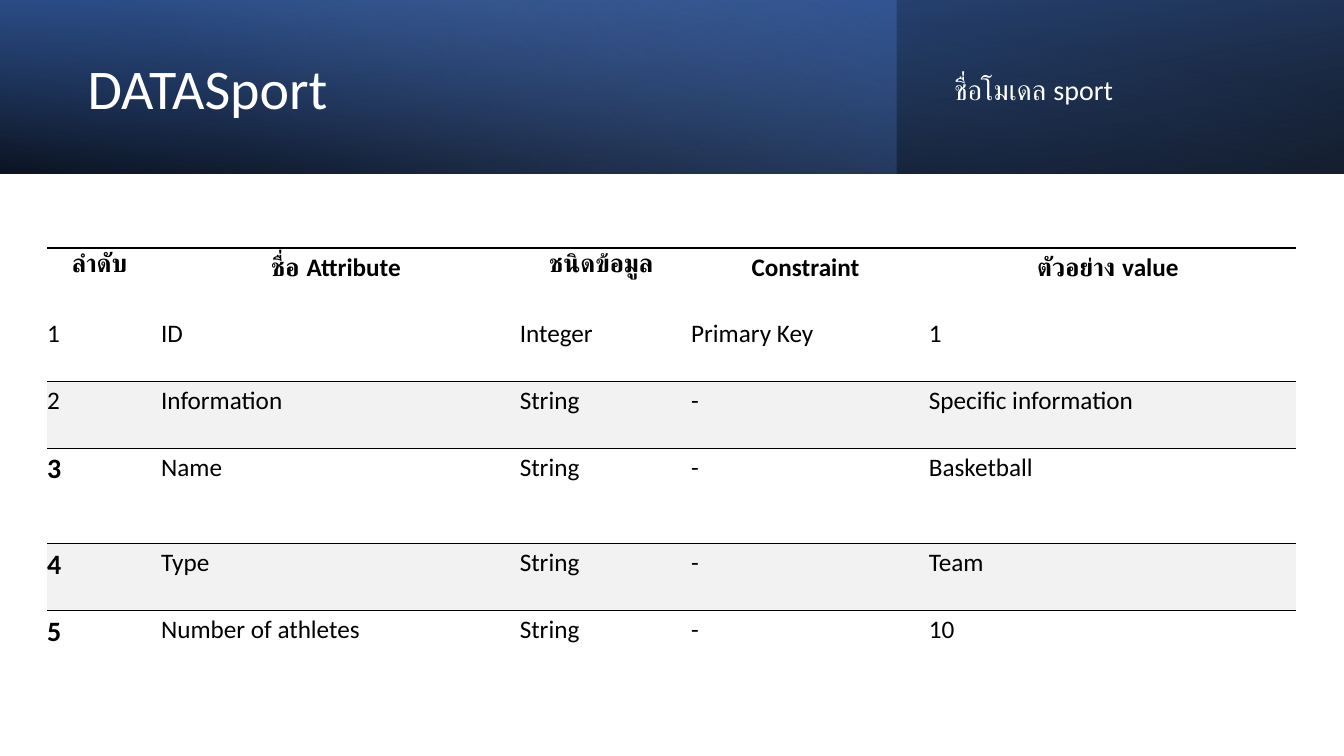
from lxml import etree
from pptx import Presentation
from pptx import util as u
from pptx.dml.color import RGBColor
from pptx.enum import shapes, text
from pptx.oxml.ns import qn

COLORS = {"black": "000000", "white": "FFFFFF", "navy": "2F5597",
          "blue": "4472C4", "pale": "8FAADC", "stripe": "F2F2F2"}
FONT = "Calibri"
WIDTH, HEIGHT = 33.87, 19.05
BAND_HEIGHT = 4.37
NO_STYLE = "{2D5ABB26-0587-4C30-8999-92F81FD0307C}"

# width, rotation, mirrored, angle, stops of (position %, colour, opacity %)
BANDS = [
    (WIDTH, 180, True, 100, [(0, "black", 96), (100, "navy", 100)]),
    (22.58, 0, False, 140, [(0, "blue", 41), (74, "pale", 0)]),
    (WIDTH, 0, True, 260, [(0, "black", 63), (78, "blue", 15)]),
]
# text, left, top, width, height, size, space before
HEADINGS = [
    ("DATASport", 1.96, 0.69, 19.61, 3.23, 40, 0),
    ("ชื่อโมเดล sport", 23.8, 1.09, 8.99, 2.44, 20, 10),
]
ROWS = [
    ("ลำดับ", "ชื่อ Attribute", "ชนิดข้อมูล", "Constraint", "ตัวอย่าง value"),
    ("1", "ID", "Integer", "Primary Key", "1"),
    ("2", "Information", "String", "-", "Specific information"),
    ("3", "Name", "String", "-", "Basketball"),
    ("4", "Type", "String", "-", "Team"),
    ("5", "Number of athletes", "String", "-", "10"),
]
COLUMN_WIDTHS = [2.87, 9.04, 4.32, 5.99, 9.25]
ROW_HEIGHTS = [1.68, 1.68, 1.68, 2.41, 1.68, 1.68]
TABLE_LEFT, TABLE_TOP = 1.19, 6.25
STRIPED_ROWS = (2, 4)
LARGE_NUMBER_ROWS = (3, 4, 5)


def add_color(parent, name, opacity=100):
    color = etree.SubElement(parent, qn("a:srgbClr"), val=COLORS[name])
    if opacity < 100:
        etree.SubElement(color, qn("a:alpha"), val=str(opacity * 1000))


def add_band(page, width, rotation, mirrored, angle, stops):
    band = page.shapes.add_shape(shapes.MSO_SHAPE.RECTANGLE, 0, 0,
                                 u.Cm(width), u.Cm(BAND_HEIGHT))
    band.shadow.inherit = False
    band.line.fill.background()
    band.rotation = rotation
    if mirrored:
        band._element.spPr.find(qn("a:xfrm")).set("flipH", "1")
    gradient = etree.Element(qn("a:gradFill"), rotWithShape="1")
    stop_list = etree.SubElement(gradient, qn("a:gsLst"))
    for position, name, opacity in stops:
        stop = etree.SubElement(stop_list, qn("a:gs"), pos=str(position * 1000))
        add_color(stop, name, opacity)
    etree.SubElement(gradient, qn("a:lin"), ang=str(angle * 60000), scaled="0")
    band._element.spPr.find(qn("a:prstGeom")).addnext(gradient)


def add_span(para, words, size, color, bold=False):
    span = para.add_run()
    span.text = words
    span.font.name = FONT
    span.font.size = u.Pt(size)
    span.font.bold = bold
    span.font.color.rgb = RGBColor.from_string(COLORS[color])


def add_heading(page, words, left, top, width, height, size, space_before):
    box = page.shapes.add_textbox(*map(u.Cm, (left, top, width, height)))
    frame = box.text_frame
    frame.word_wrap = True
    frame.vertical_anchor = text.MSO_ANCHOR.MIDDLE
    para = frame.paragraphs[0]
    para.line_spacing = 0.9
    para.space_before = u.Pt(space_before)
    add_span(para, words, size, "white")


def add_top_border(cell, points):
    line = etree.Element(qn("a:lnT"), w=str(u.Pt(points)))
    add_color(etree.SubElement(line, qn("a:solidFill")), "black")
    cell._tc.get_or_add_tcPr().insert(0, line)


def fill_cell(cell, words, row, column):
    cell.margin_left, cell.margin_top = 0, u.Cm(0.1)
    cell.margin_right, cell.margin_bottom = u.Cm(0.23), u.Cm(0.66)
    header = row == 0
    large = column == 0 and row in LARGE_NUMBER_ROWS
    para = cell.text_frame.paragraphs[0]
    para.alignment = text.PP_ALIGN.CENTER if header else text.PP_ALIGN.LEFT
    add_span(para, words, 20 if large else 18, "black", header or large)
    if row in STRIPED_ROWS:
        cell.fill.solid()
        cell.fill.fore_color.rgb = RGBColor.from_string(COLORS["stripe"])
        add_top_border(cell, 0.5)
    else:
        cell.fill.background()
        if header:
            add_top_border(cell, 2.25)


def add_attribute_table(page):
    frame = page.shapes.add_table(
        len(ROWS), len(COLUMN_WIDTHS), u.Cm(TABLE_LEFT), u.Cm(TABLE_TOP),
        u.Cm(sum(COLUMN_WIDTHS)), u.Cm(sum(ROW_HEIGHTS)))
    table = frame.table
    table.first_row = table.horz_banding = False
    table._tbl.tblPr.find(qn("a:tableStyleId")).text = NO_STYLE
    for column, width in zip(table.columns, COLUMN_WIDTHS):
        column.width = u.Cm(width)
    for row, height in zip(table.rows, ROW_HEIGHTS):
        row.height = u.Cm(height)
    for row, entries in enumerate(ROWS):
        for column, words in enumerate(entries):
            fill_cell(table.cell(row, column), words, row, column)


def main():
    deck = Presentation()
    deck.slide_width, deck.slide_height = u.Cm(WIDTH), u.Cm(HEIGHT)
    page = deck.slides.add_slide(deck.slide_layouts[6])
    for band in BANDS:
        add_band(page, *band)
    for heading in HEADINGS:
        add_heading(page, *heading)
    add_attribute_table(page)
    deck.save("out.pptx")


if __name__ == "__main__":
    main()
